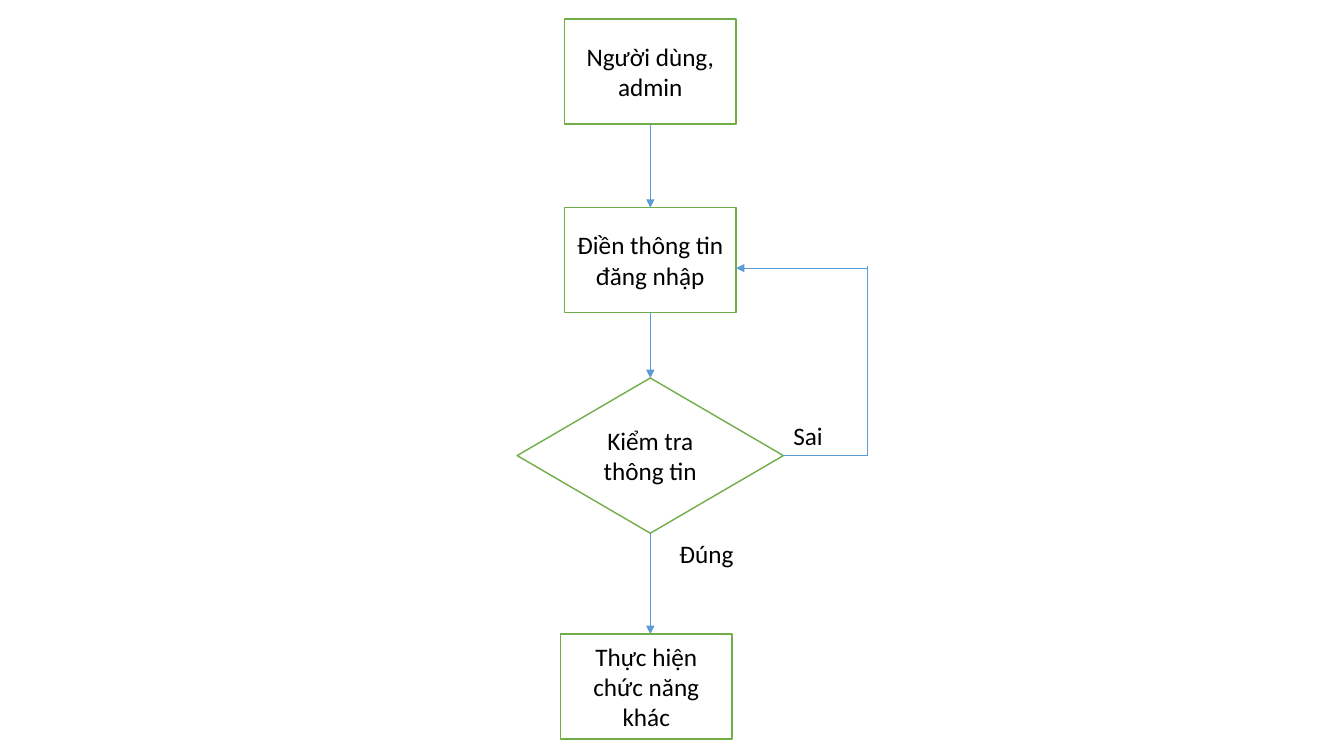
from dataclasses import dataclass
from typing import Optional

from lxml.etree import SubElement
from pptx import Presentation
from pptx.dml.color import RGBColor
from pptx.enum.shapes import MSO_CONNECTOR as Link, MSO_SHAPE as Form
from pptx.enum.text import MSO_ANCHOR as Anchor, PP_ALIGN as Align
from pptx.oxml.ns import qn
from pptx.util import Inches, Pt

WHITE = RGBColor(0xFF, 0xFF, 0xFF)
BLACK = RGBColor(0, 0, 0)
GREEN = RGBColor(0x70, 0xAD, 0x47)
BLUE = RGBColor(0x5B, 0x9B, 0xD5)
TOP, BOTTOM, RIGHT = 0, 2, 3
MID = 6.45
BEND = 8.6


@dataclass
class Node:
    key: str
    text: str
    left: float
    top: float
    width: float = 1.7
    height: float = 1.04
    form: Form = Form.RECTANGLE


@dataclass
class Edge:
    start: tuple[float, float]
    end: tuple[float, float]
    head: bool = True
    source: Optional[tuple[str, int]] = None
    target: Optional[tuple[str, int]] = None


@dataclass
class Label:
    text: str
    left: float
    top: float
    width: float


NODES = [
    Node("user", "Người dùng, admin", 5.6, 0.19),
    Node("login", "Điền thông tin đăng nhập", 5.6, 2.06),
    Node("check", "Kiểm tra thông tin", 5.13, 3.75, 2.64, 1.54, Form.DIAMOND),
    Node("action", "Thực hiện chức năng khác", 5.56, 6.29),
]
EDGES = [
    Edge((MID, 1.23), (MID, 2.06), True, ("user", BOTTOM), ("login", TOP)),
    Edge((MID, 3.1), (MID, 3.75), True, ("login", BOTTOM), ("check", TOP)),
    Edge((MID, 5.29), (MID, 6.29), True, ("check", BOTTOM)),
    Edge((7.77, 4.52), (BEND, 4.52), False, ("check", RIGHT)),
    Edge((BEND, 4.52), (BEND, 2.64), False),
    Edge((BEND, 2.66), (7.3, 2.66)),
]
LABELS = [Label("Đúng", 6.64, 5.29, 0.8), Label("Sai", 7.77, 4.12, 0.55)]


def write(frame, text: str) -> None:
    frame.text = text
    font = frame.paragraphs[0].runs[0].font
    font.name = "Calibri"
    font.size = Pt(18)
    font.color.rgb = BLACK


def draw_node(slide, node: Node):
    shape = slide.shapes.add_shape(
        node.form, Inches(node.left), Inches(node.top),
        Inches(node.width), Inches(node.height))
    shape.shadow.inherit = False
    shape.fill.solid()
    shape.fill.fore_color.rgb = WHITE
    shape.line.color.rgb = GREEN
    shape.line.width = Pt(1)
    frame = shape.text_frame
    frame.word_wrap = True
    frame.vertical_anchor = Anchor.MIDDLE
    write(frame, node.text)
    frame.paragraphs[0].alignment = Align.CENTER
    return shape


def draw_edge(slide, edge: Edge, boxes: dict) -> None:
    ends = [Inches(n) for n in edge.start + edge.end]
    line = slide.shapes.add_connector(Link.STRAIGHT, *ends)
    if edge.source:
        key, side = edge.source
        line.begin_connect(boxes[key], side)
    if edge.target:
        key, side = edge.target
        line.end_connect(boxes[key], side)
    line.line.color.rgb = BLUE
    line.line.width = Pt(0.5)
    if edge.head:
        SubElement(line.line._get_or_add_ln(), qn("a:tailEnd"), type="triangle")
    SubElement(line._element.spPr, qn("a:effectLst"))


def draw_label(slide, label: Label) -> None:
    box = slide.shapes.add_textbox(
        Inches(label.left), Inches(label.top), Inches(label.width), Inches(0.4))
    box.text_frame.word_wrap = False
    write(box.text_frame, label.text)


def main() -> None:
    deck = Presentation()
    deck.slide_width = Inches(13.33)
    deck.slide_height = Inches(7.5)
    slide = deck.slides.add_slide(deck.slide_layouts[6])
    boxes = {node.key: draw_node(slide, node) for node in NODES}
    for edge in EDGES:
        draw_edge(slide, edge, boxes)
    for label in LABELS:
        draw_label(slide, label)
    deck.save("out.pptx")


if __name__ == "__main__":
    main()
